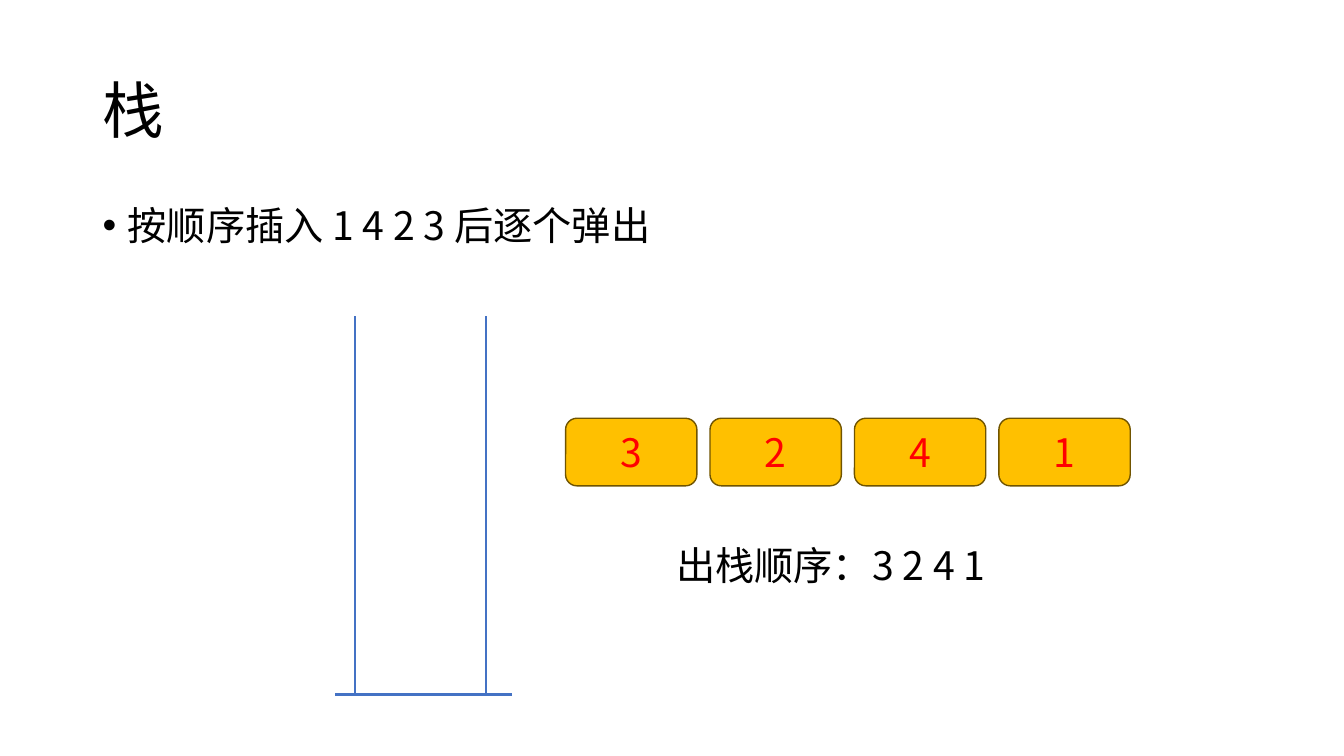
from lxml.etree import SubElement
from pptx import Presentation
from pptx.dml.color import RGBColor
from pptx.enum.shapes import MSO_CONNECTOR, MSO_SHAPE
from pptx.enum.text import MSO_ANCHOR, PP_ALIGN
from pptx.oxml.ns import qn
from pptx.util import Inches, Pt

FONT = "Noto Sans CJK SC"
BLACK = RGBColor(0x00, 0x00, 0x00)
RED = RGBColor(0xFF, 0x00, 0x00)
BLUE = RGBColor(0x44, 0x72, 0xC4)
AMBER = RGBColor(0xFF, 0xC0, 0x00)
BROWN = RGBColor(0x70, 0x54, 0x00)


def write(s, text, size=28, color=BLACK, anchor=MSO_ANCHOR.TOP, **para_format):
    """Fill a shape with one formatted paragraph and return it."""
    tf = s.text_frame
    tf.word_wrap = True
    tf.vertical_anchor = anchor
    p = tf.paragraphs[0]
    for name, value in ({"alignment": PP_ALIGN.LEFT} | para_format).items():
        setattr(p, name, value)
    r = p.add_run()
    r.text = text
    r.font.color.rgb = color
    for name, value in {"name": FONT, "size": Pt(size)}.items():
        setattr(r.font, name, value)
    SubElement(r.font._element, qn("a:ea"), typeface=FONT)
    return p


def add_title(slide, box, text):
    s = slide.shapes.title
    for name, value in zip(("left", "top", "width", "height"), box):
        setattr(s, name, Inches(value))
    write(s, text, size=44, anchor=MSO_ANCHOR.MIDDLE, line_spacing=0.9)


def add_text(slide, box, text, **para_format):
    s = slide.shapes.add_textbox(*map(Inches, box))
    return write(s, text, **para_format)


def add_bullet(slide, box, text):
    p = add_text(slide, box, text, line_spacing=0.9, space_before=Pt(10))
    pPr = p._p.get_or_add_pPr()
    pPr.set("marL", str(Inches(0.25)))
    pPr.set("indent", str(-Inches(0.25)))
    SubElement(pPr, qn("a:buFont"), typeface="Arial")
    SubElement(pPr, qn("a:buChar"), char="•")


def add_stack(slide, box):
    """Draw an open container: two walls standing on a wider base."""
    left, top, width, height = box
    right, bottom = left + width, top + height
    base_left, base_right = left - 0.15 * width, right + 0.2 * width
    for ends in ((left, top, left, bottom),
                 (right, top, right, bottom),
                 (base_right, bottom, base_left, bottom)):
        line = slide.shapes.add_connector(MSO_CONNECTOR.STRAIGHT, *map(Inches, ends))
        line.line.color.rgb = BLUE
        line.line.width = Pt(1.5)
        SubElement(line._element.spPr, qn("a:effectLst"))


def add_popped(slide, box, values, gap):
    """Lay the popped values out as a row of equal tiles."""
    left, top, width, height = box
    tile = (width - gap * (len(values) - 1)) / len(values)
    for i, value in enumerate(values):
        x = left + i * (tile + gap)
        s = slide.shapes.add_shape(MSO_SHAPE.ROUNDED_RECTANGLE,
                                   *map(Inches, (x, top, tile, height)))
        s.shadow.inherit = False
        s.fill.solid()
        s.fill.fore_color.rgb = AMBER
        s.line.color.rgb = BROWN
        s.line.width = Pt(1)
        write(s, value, color=RED, anchor=MSO_ANCHOR.MIDDLE, alignment=PP_ALIGN.CENTER)


def main():
    prs = Presentation()
    prs.slide_width, prs.slide_height = Inches(13.33), Inches(7.5)
    slide = prs.slides.add_slide(prs.slide_layouts[5])

    # Heading and task
    add_title(slide, (0.92, 0.4, 11.5, 1.45), "栈")
    add_bullet(slide, (0.92, 2, 11.5, 0.61), "按顺序插入 1 4 2 3 后逐个弹出")

    # Emptied stack and the popping order
    add_stack(slide, (3.52, 3.14, 1.3, 3.75))
    add_popped(slide, (5.61, 4.15, 5.6, 0.67), "3241", gap=0.13)
    add_text(slide, (6.61, 5.32, 4.98, 0.57), "出栈顺序：3 2 4 1")

    prs.save("out.pptx")


if __name__ == "__main__":
    main()
